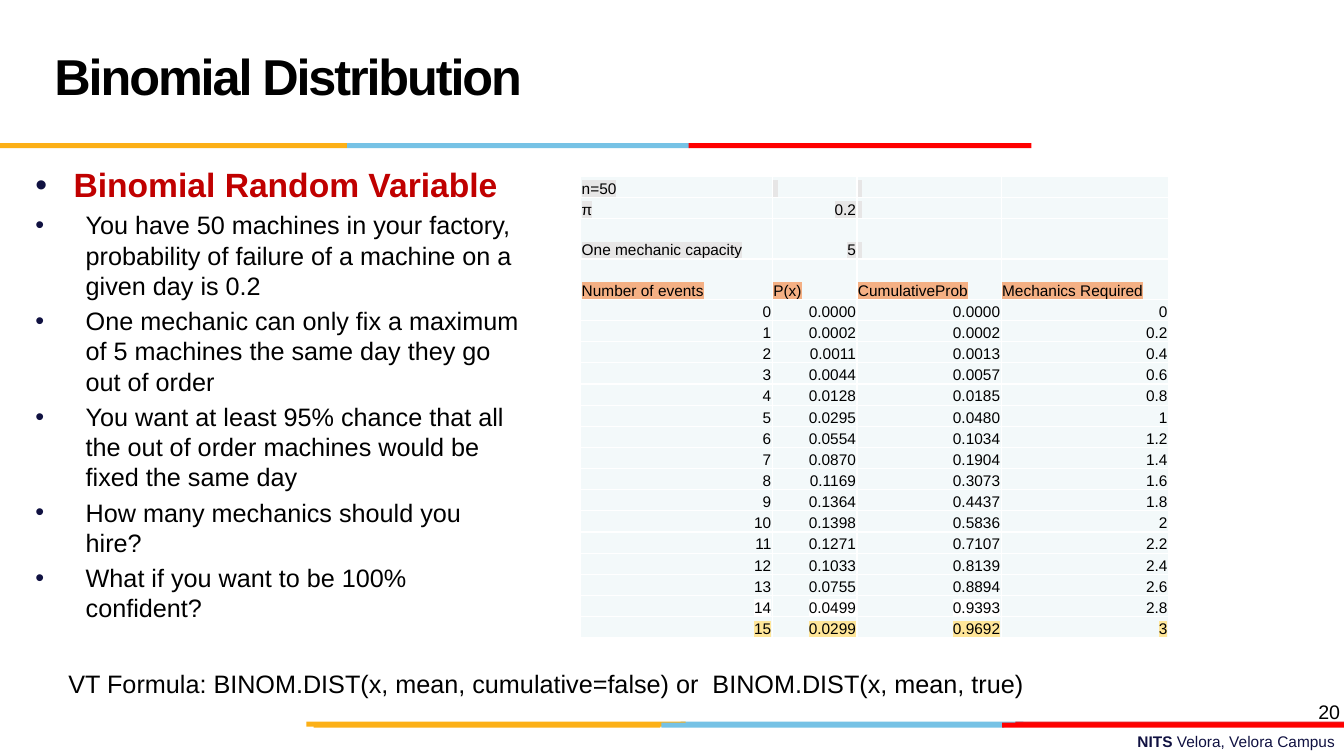
import math

import pptx
import pptx.dml.color
import pptx.enum.shapes
import pptx.enum.text
import pptx.oxml
import pptx.oxml.ns
import pptx.util
from pptx.util import Inches

RGBColor = pptx.dml.color.RGBColor
ALIGN = pptx.enum.text.PP_ALIGN
ANCHOR = pptx.enum.text.MSO_ANCHOR

BLACK = RGBColor(0x00, 0x00, 0x00)
WHITE = RGBColor(0xFF, 0xFF, 0xFF)
NAVY = RGBColor(0x10, 0x11, 0x41)
CRIMSON = RGBColor(0xC0, 0x00, 0x00)
YELLOW = RGBColor(0xFC, 0xB0, 0x17)
SKY = RGBColor(0x76, 0xC2, 0xE5)
RED = RGBColor(0xFF, 0x00, 0x00)
DARK_RED = RGBColor(0xE3, 0x1C, 0x24)
CELL_FILL = RGBColor(0xF3, 0xF9, 0xFA)
GREY_MARK = RGBColor(0xE7, 0xE6, 0xE6)
ORANGE_MARK = RGBColor(0xF4, 0xB0, 0x84)
YELLOW_MARK = RGBColor(0xFF, 0xE6, 0x99)

MACHINES = 50
FAILURE_RATE = 0.2
CAPACITY = 5
LAST_EVENT = 15

# left, top, width, colour
STRIPES = [
    (6.75, 7.16, 3.4, SKY), (10.07, 7.16, 3.26, DARK_RED), (3.04, 7.16, 3.76, YELLOW),
    (6.56, 7.17, 3.4, SKY), (3.11, 7.17, 3.44, YELLOW), (9.94, 7.17, 3.4, RED),
    (3.44, 1.42, 3.4, SKY), (0, 1.42, 3.44, YELLOW), (6.83, 1.42, 3.4, RED),
]
QUESTIONS = [
    "You have 50 machines in your factory, probability of failure of a machine "
    "on a given day is 0.2",
    "One mechanic can only fix a maximum of 5 machines the same day they go out of order",
    "You want at least 95% chance that all the out of order machines would be "
    "fixed the same day",
    "How many mechanics should you hire?",
    "What if you want to be 100% confident?",
]


def xml_child(parent, tag, **attributes):
    child = parent.makeelement(pptx.oxml.ns.qn(tag), attributes)
    parent.append(child)
    return child


def xml_colour(parent, colour):
    xml_child(parent, "a:srgbClr", val=str(colour))


def write(paragraph, text, size=18, colour=BLACK, bold=False, align=ALIGN.LEFT,
          highlight=None, spacing=None):
    """Add one formatted run to the paragraph."""
    paragraph.alignment = align
    run = paragraph.add_run()
    run.text = text
    font = run.font
    font.size = pptx.util.Pt(size)
    font.bold = bold
    font.color.rgb = colour
    properties = run._r.get_or_add_rPr()
    if highlight is not None:
        xml_colour(xml_child(properties, "a:highlight"), highlight)
    if spacing is not None:
        properties.set("spc", str(int(spacing * 100)))
    font.name = "Arial"


def place(shape, left, top, width, height):
    shape.left, shape.top = Inches(left), Inches(top)
    shape.width, shape.height = Inches(width), Inches(height)


def add_stripe(slide, left, top, width, colour):
    stripe = slide.shapes.add_shape(
        pptx.enum.shapes.MSO_SHAPE.RECTANGLE,
        Inches(left), Inches(top), Inches(width), Inches(0.05))
    stripe.shadow.inherit = False
    stripe.fill.solid()
    stripe.fill.fore_color.rgb = colour
    stripe.line.fill.background()


def add_label(slide, left, top, width, height, wrap=True):
    """Add an empty text box and return its first paragraph."""
    label = slide.shapes.add_textbox(
        Inches(left), Inches(top), Inches(width), Inches(height))
    label.text_frame.word_wrap = wrap
    return label.text_frame.paragraphs[0]


def add_bullet(paragraph, indent):
    """Give the paragraph a navy bullet with a hanging indent in inches."""
    properties = paragraph._p.get_or_add_pPr()
    properties.set("marL", str(Inches(indent)))
    properties.set("indent", str(-Inches(indent)))
    xml_colour(xml_child(properties, "a:buClr"), NAVY)
    xml_child(properties, "a:buFont", typeface="Arial")
    xml_child(properties, "a:buChar", char="•")


def fill_title(title):
    place(title, 0.44, 0.17, 11.14, 1.25)
    title.text_frame.vertical_anchor = ANCHOR.MIDDLE
    heading = title.text_frame.paragraphs[0]
    heading.line_spacing = pptx.util.Pt(36)
    write(heading, "Binomial Distribution", size=36, bold=True, spacing=-1.5)


def fill_questions(body):
    place(body, 0.25, 1.58, 5, 5.67)
    frame = body.text_frame
    frame.auto_size = pptx.enum.text.MSO_AUTO_SIZE.NONE
    add_bullet(frame.paragraphs[0], 0.38)
    write(frame.paragraphs[0], "Binomial Random Variable", size=24, colour=CRIMSON, bold=True)
    for question in QUESTIONS:
        paragraph = frame.add_paragraph()
        add_bullet(paragraph, 0.5)
        write(paragraph, question)


def probability_rows():
    """Return (texts, highlights) for every row of the table."""
    rows = [
        (["n=50", " ", " ", ""], [GREY_MARK] * 4),
        (["π", str(FAILURE_RATE), " ", ""], [GREY_MARK] * 4),
        (["One mechanic capacity", str(CAPACITY), " ", ""], [GREY_MARK] * 4),
        (["Number of events", "P(x)", "CumulativeProb", "Mechanics Required"],
         [ORANGE_MARK] * 4),
    ]
    marks = {LAST_EVENT - 1: [WHITE] * 3 + [None], LAST_EVENT: [YELLOW_MARK] * 4}
    cumulative = 0
    for events in range(LAST_EVENT + 1):
        chance = (math.comb(MACHINES, events) * FAILURE_RATE ** events
                  * (1 - FAILURE_RATE) ** (MACHINES - events))
        cumulative += chance
        texts = [str(events), f"{chance:.4f}", f"{cumulative:.4f}", f"{events / CAPACITY:g}"]
        rows.append((texts, marks.get(events, [None] * 4)))
    return rows


def fill_cell(cell, text, highlight):
    cell.vertical_anchor = ANCHOR.BOTTOM
    cell.margin_left = cell.margin_right = cell.margin_top = Inches(0.01)
    cell.margin_bottom = 0
    for side in ("a:lnL", "a:lnR", "a:lnT", "a:lnB"):
        border = xml_child(cell._tc.get_or_add_tcPr(), side, w=str(pptx.util.Pt(1)))
        xml_colour(xml_child(border, "a:solidFill"), WHITE)
    cell.fill.solid()
    cell.fill.fore_color.rgb = CELL_FILL
    paragraph = cell.text_frame.paragraphs[0]
    if text:
        align = ALIGN.RIGHT if text[0].isdigit() else ALIGN.LEFT
        write(paragraph, text, size=11, align=align, highlight=highlight)
    else:
        xml_child(paragraph._p, "a:endParaRPr", sz="1100")


def add_probability_table(slide):
    rows = probability_rows()
    widths = [1.9, 0.84, 1.43, 1.66]
    table = slide.shapes.add_table(
        len(rows), len(widths), Inches(5.76), Inches(1.75), Inches(5.82), Inches(4.58)).table
    table.first_row = table.horz_banding = False
    for column, width in zip(table.columns, widths):
        column.width = Inches(width)
    for index, (texts, highlights) in enumerate(rows):
        table.rows[index].height = Inches(0.4 if index in (2, 3) else 0.21)
        for cell, text, highlight in zip(table.rows[index].cells, texts, highlights):
            fill_cell(cell, text, highlight)


def main():
    presentation = pptx.Presentation()
    presentation.slide_width, presentation.slide_height = Inches(13.33), Inches(7.5)
    slide = presentation.slides.add_slide(presentation.slide_layouts[1])

    campus = add_label(slide, 4.78, 7.21, 8.56, 0.29)
    write(campus, "NITS ", size=11, colour=NAVY, bold=True, align=ALIGN.RIGHT)
    write(campus, "Velora, Velora Campus", size=11, colour=NAVY, align=ALIGN.RIGHT)
    for stripe in STRIPES:
        add_stripe(slide, *stripe)

    fill_title(slide.shapes.title)
    page_number = add_label(slide, 10.28, 6.89, 3.11, 0.52)
    write(page_number, "20", size=14, align=ALIGN.RIGHT)
    fill_questions(slide.placeholders[1])
    formula = add_label(slide, 0.58, 6.58, 9.75, 0.4, wrap=False)
    write(formula, "VT Formula: BINOM.DIST(x, mean, cumulative=false) or  BINOM.DIST(x, mean, true)")
    add_probability_table(slide)
    presentation.save("out.pptx")


if __name__ == "__main__":
    main()
